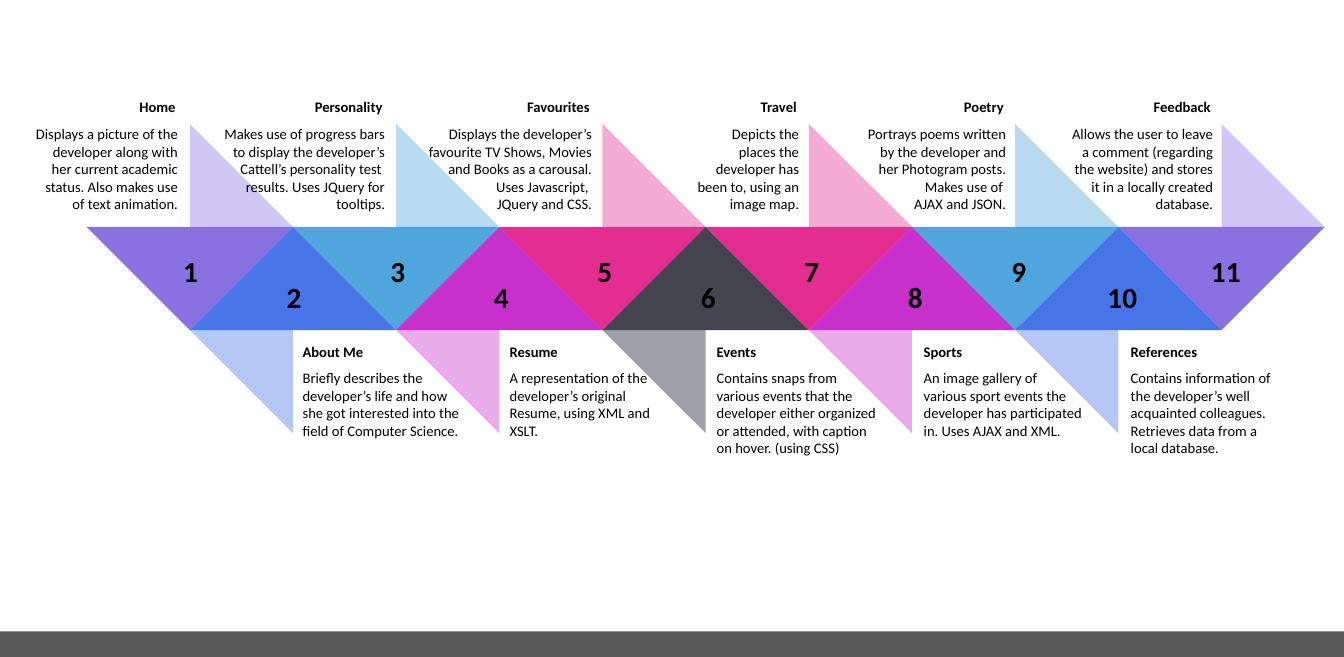
from math import sqrt
from pptx import Presentation
from pptx.dml.color import RGBColor
from pptx.enum.shapes import MSO_SHAPE
from pptx.enum.text import MSO_AUTO_SIZE, PP_ALIGN
from pptx.util import Cm, Pt

# Sizes in centimetres
PAGE_WIDTH, PAGE_HEIGHT = 38.95, 19.05
FOOTER_HEIGHT = 0.74
STEP = 2.99                 # distance between triangles and height of the band
TEXT_STEP = 3.0
BAND = (5.5, 6.58)          # centre of the first triangle, top of the band
TEXT_START = 5.52
HEADING_WIDTH = 4.65

# Strong and pale colour of each pair; the second half mirrors the first
FIRST_HALF = [("8971E1", "D0C6F3"), ("4775E7", "B5C8F5"), ("4EA6DC", "B8DBF1"),
              ("C830CC", "EAABEB"), ("E32D91", "F4ABD3")]
COLOURS = FIRST_HALF + [("454551", "9FA1A8")] + FIRST_HALF[::-1]

# Heading, description, width of the description
PAGES = [
    ("Home", "Displays a picture of the developer along with her current academic "
     "status. Also makes use of text animation.", 4.7),
    ("About Me", "Briefly describes the developer’s life and how she got interested "
     "into the field of Computer Science.", 5.05),
    ("Personality", "Makes use of progress bars to display the developer’s Cattell’s "
     "personality test \vresults. Uses JQuery for tooltips.", 5.23),
    ("Resume", "A representation of the developer’s original Resume, using XML and "
     "XSLT.", 4.7),
    ("Favourites", "Displays the developer’s favourite TV Shows, Movies and Books as a "
     "carousal. Uses Javascript, \vJQuery and CSS.", 5.38),
    ("Events", "Contains snaps from various events that the developer either organized "
     "or attended, with caption on hover. (using CSS)", 5.2),
    ("Travel", "Depicts the places the developer has been to, using an image map.", 3.53),
    ("Sports", "An image gallery of various sport events the developer has participated "
     "in. Uses AJAX and XML.", 5.1),
    ("Poetry", "Portrays poems written by the developer and her Photogram posts. Makes "
     "use of \vAJAX and JSON.", 4.7),
    ("References", "Contains information of the developer’s well acquainted colleagues. "
     "Retrieves data from a local database.", 4.7),
    ("Feedback", "Allows the user to leave a comment (regarding the website) and stores "
     "it in a locally created database.", 4.7),
]


def colour(hex_code):
    return RGBColor.from_string(hex_code)


def add_filled(page, kind, left, top, width, height, fill, rotation=0):
    shape = page.shapes.add_shape(kind, Cm(left), Cm(top), Cm(width), Cm(height))
    shape.shadow.inherit = False
    shape.fill.solid()
    shape.fill.fore_color.rgb = colour(fill)
    shape.line.fill.background()
    shape.rotation = rotation


def add_text(page, text, left, top, width, height, align, size=12, bold=False):
    box = page.shapes.add_textbox(Cm(left), Cm(top), Cm(width), Cm(height))
    frame = box.text_frame
    frame.word_wrap = True
    frame.auto_size = MSO_AUTO_SIZE.SHAPE_TO_FIT_TEXT
    para = frame.paragraphs[0]
    para.text = text
    para.alignment = align
    para.font.name = "Calibri"
    para.font.size = Pt(size)
    para.font.bold = bold
    para.font.color.rgb = colour("000000")


def add_band(page, left, top):
    """Pale flags first, then the strong triangles that cover their inner halves."""
    side = STEP * sqrt(2)
    for layer, rotations in ((1, (225, 45)), (0, (315, 135))):
        for index, pair in enumerate(COLOURS):
            below = index % 2
            centre_x = left + index * STEP
            centre_y = top + below * STEP
            add_filled(page, MSO_SHAPE.RIGHT_TRIANGLE, centre_x - side / 2,
                       centre_y - side / 2, side, side, pair[layer], rotations[below])


def add_label(page, index, centre, band_top):
    """Number, heading and description of one website page."""
    heading, description, width = PAGES[index]
    below = index % 2
    add_text(page, str(index + 1), centre - 0.87, band_top + (1.39 if below else 0.65),
             1.75, 1.27, PP_ALIGN.CENTER, 24, True)
    if below:
        align = PP_ALIGN.LEFT
        heading_left = description_left = centre
        heading_top, description_top = band_top + 3.24, band_top + 4.0
    else:
        align = PP_ALIGN.RIGHT
        heading_left = centre - 0.18 - HEADING_WIDTH
        description_left = centre - 0.11 - width
        heading_top, description_top = band_top - 3.86, band_top - 3.08
    add_text(page, heading, heading_left, heading_top, HEADING_WIDTH, 0.77, align, bold=True)
    add_text(page, description, description_left, description_top, width, 2.82, align)


def add_footer(page, left, top, width, height):
    add_filled(page, MSO_SHAPE.RECTANGLE, left, top, width, height, "595959")


deck = Presentation()
deck.slide_width, deck.slide_height = Cm(PAGE_WIDTH), Cm(PAGE_HEIGHT)
page = deck.slides.add_slide(deck.slide_layouts[6])

# Footer bar, band of triangles, labels
add_footer(page, 0, PAGE_HEIGHT - FOOTER_HEIGHT, PAGE_WIDTH, FOOTER_HEIGHT)
add_band(page, *BAND)
for index in range(len(PAGES)):
    add_label(page, index, TEXT_START + index * TEXT_STEP, BAND[1])

deck.save("out.pptx")
